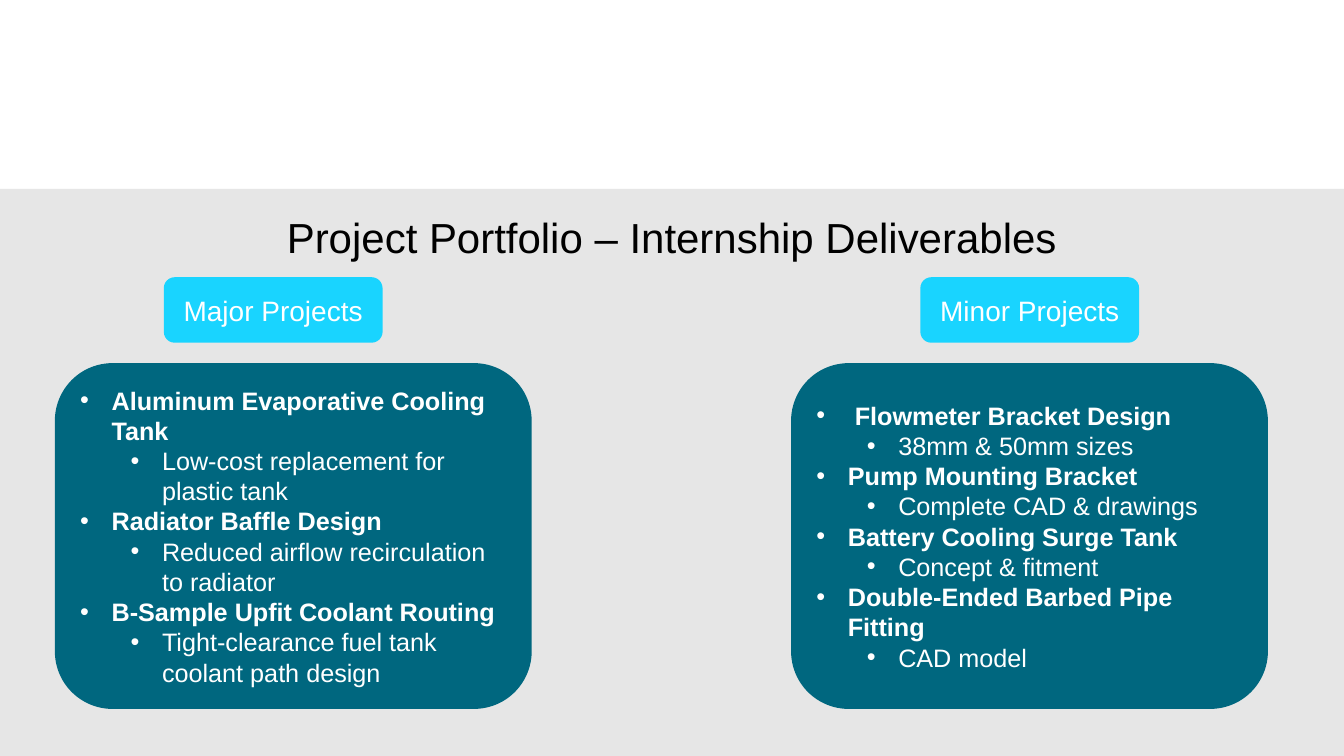
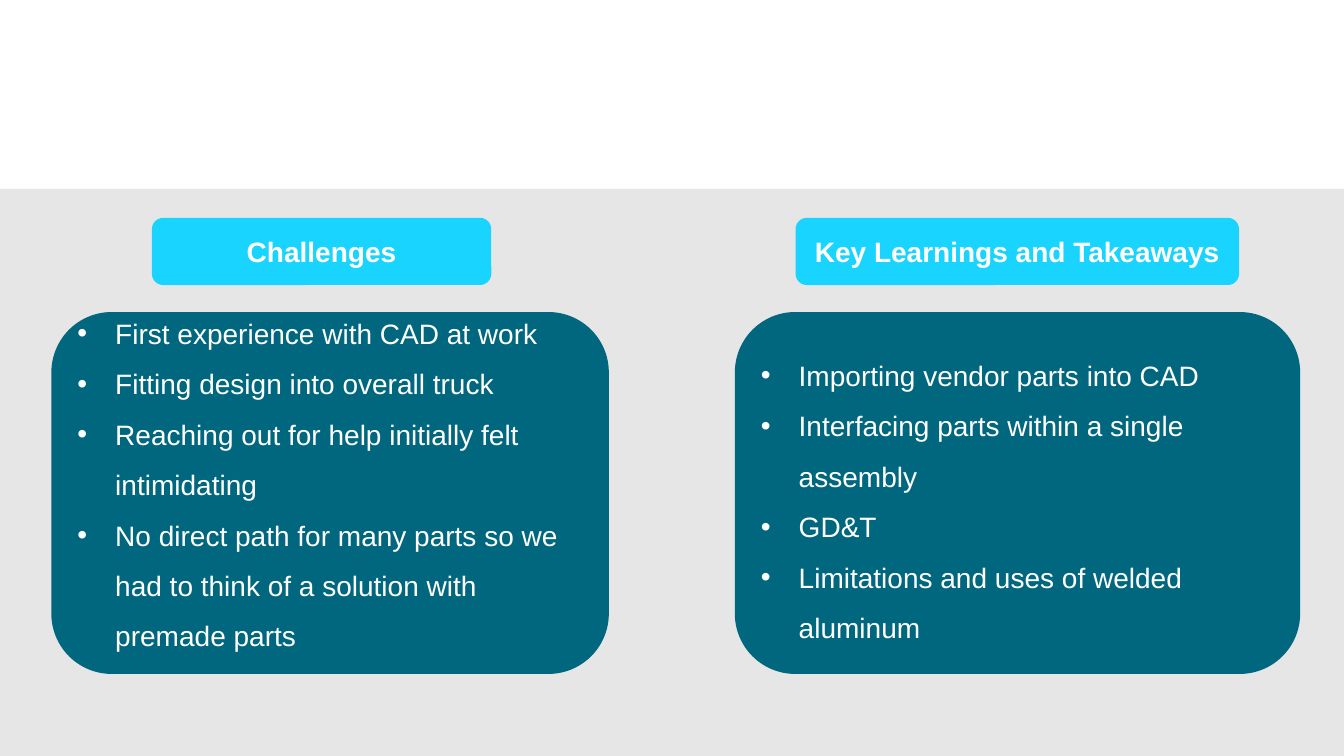
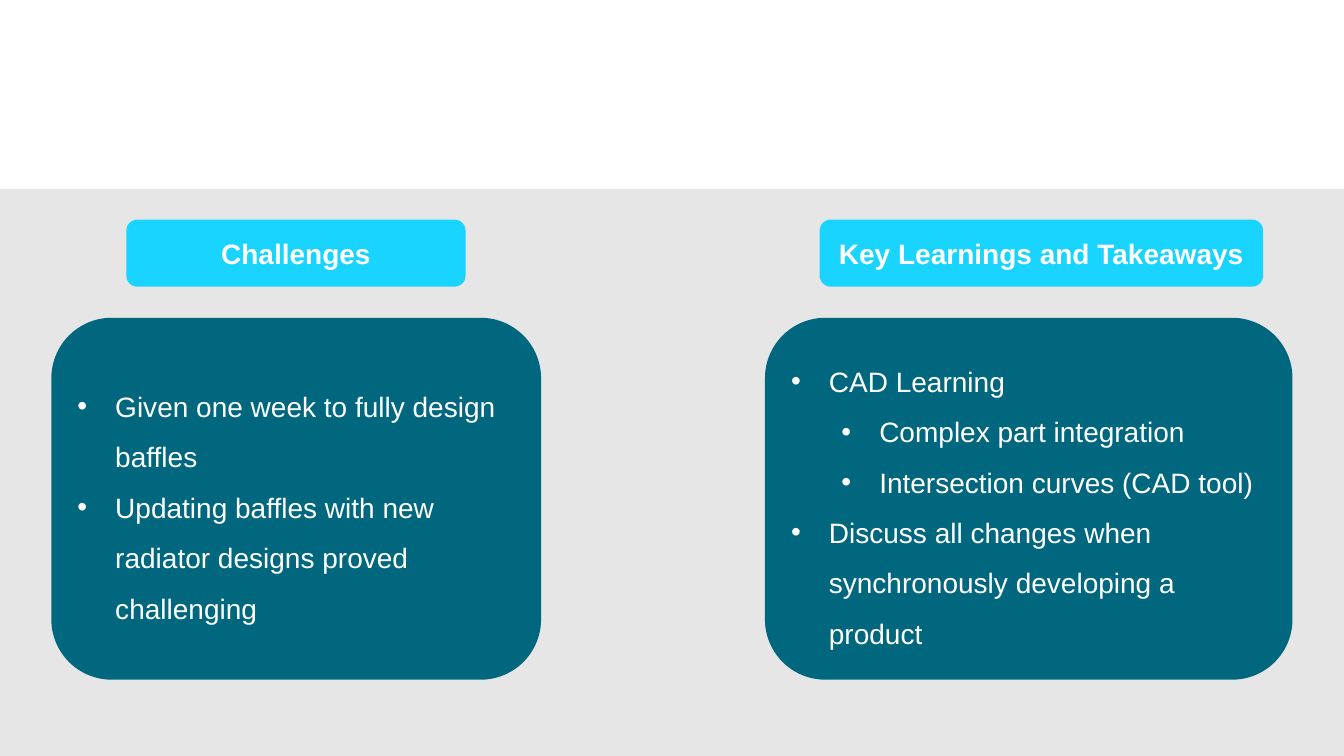
"""Build three internship slides: project portfolio and two lessons-learned pages."""
from dataclasses import dataclass

from lxml.etree import SubElement
from pptx import Presentation
from pptx.dml.color import RGBColor
from pptx.enum.shapes import MSO_SHAPE
from pptx.enum.text import MSO_ANCHOR, PP_ALIGN
from pptx.oxml.ns import qn
from pptx.util import Pt


@dataclass(frozen=True)
class Theme:
    """Colours, font and type sizes shared by the slides."""
    band: RGBColor = RGBColor(0xE6, 0xE6, 0xE6)
    label: RGBColor = RGBColor(0x19, 0xD4, 0xFF)
    card: RGBColor = RGBColor(0x00, 0x67, 0x7F)
    light: RGBColor = RGBColor(0xFF, 0xFF, 0xFF)
    dark: RGBColor = RGBColor(0x00, 0x00, 0x00)
    font: str = "Arial"
    title_size: int = 30
    text_size: int = 20
    small_size: int = 18
    inset: int = 6
    level_step: int = 36


theme = Theme()


def add_box(page, kind, place, fill):
    """Add a plain filled shape with the shared text frame settings."""
    box = page.shapes.add_shape(kind, *[Pt(length) for length in place])
    box.shadow.inherit = False
    box.fill.solid()
    box.fill.fore_color.rgb = fill
    box.line.fill.background()
    frame = box.text_frame
    frame.word_wrap = True
    frame.vertical_anchor = MSO_ANCHOR.MIDDLE
    frame.margin_left = frame.margin_right = Pt(theme.inset)
    frame.margin_top = frame.margin_bottom = Pt(theme.inset)
    return box


def add_span(para, text, size, color, bold=False):
    """Add one run of text in the shared font."""
    span = para.add_run()
    span.text = text
    span.font.name = theme.font
    span.font.size = Pt(size)
    span.font.bold = bold
    span.font.color.rgb = color


pages = [
    {
        "title": "Project Portfolio – Internship Deliverables",
        "size": theme.small_size, "indent": 22.5, "spacing": 1.0,
        "bold_label": False, "bold_heads": True,
        "label_top": 198, "label_height": 46.8,
        "card_top": 259.4, "card_height": 247,
        "columns": [
            {"label": "Major Projects", "label_at": (117, 156.3), "card_at": (39.2, 340.6),
             "margins": (6, 6),
             "items": [(0, "Aluminum Evaporative Cooling Tank"),
                       (1, "Low-cost replacement for plastic tank"),
                       (0, "Radiator Baffle Design"),
                       (1, "Reduced airflow recirculation to radiator"),
                       (0, "B-Sample Upfit Coolant Routing"),
                       (1, "Tight-clearance fuel tank coolant path design")]},
            {"label": "Minor Projects", "label_at": (657.4, 156.3), "card_at": (565.1, 340.6),
             "margins": (6, 6),
             "items": [(0, " Flowmeter Bracket Design"),
                       (1, "38mm & 50mm sizes"),
                       (0, "Pump Mounting Bracket"),
                       (1, "Complete CAD & drawings"),
                       (0, "Battery Cooling Surge Tank"),
                       (1, "Concept & fitment"),
                       (0, "Double-Ended Barbed Pipe Fitting"),
                       (1, "CAD model")]},
        ],
    },
    {
        "title": None,
        "size": theme.text_size, "indent": 27, "spacing": 1.5,
        "bold_label": True, "bold_heads": False,
        "label_top": 155.6, "label_height": 48,
        "card_top": 222.9, "card_height": 258.5,
        "columns": [
            {"label": "Challenges", "label_at": (108.5, 242.4), "card_at": (36.7, 398.2),
             "margins": (0, 24),
             "items": [(0, "First experience with CAD at work"),
                       (0, "Fitting design into overall truck"),
                       (0, "Reaching out for help initially felt intimidating"),
                       (0, "No direct path for many parts so we had to think of a "
                           "solution with premade parts")]},
            {"label": "Key Learnings and Takeaways", "label_at": (568.3, 316.8),
             "card_at": (524.9, 403.8), "margins": (6, 6),
             "items": [(0, "Importing vendor parts into CAD"),
                       (0, "Interfacing parts within a single assembly"),
                       (0, "GD&T"),
                       (0, "Limitations and uses of welded aluminum")]},
        ],
    },
    {
        "title": None,
        "size": theme.text_size, "indent": 27, "spacing": 1.5,
        "bold_label": True, "bold_heads": False,
        "label_top": 156.8, "label_height": 48,
        "card_top": 227, "card_height": 258.5,
        "columns": [
            {"label": "Challenges", "label_at": (90.2, 242.4), "card_at": (36.7, 349.8),
             "margins": (6, 6),
             "items": [(0, "Given one week to fully design baffles"),
                       (0, "Updating baffles with new radiator designs proved "
                           "challenging")]},
            {"label": "Key Learnings and Takeaways", "label_at": (585.5, 316.8),
             "card_at": (546.4, 376.8), "margins": (6, 6),
             "items": [(0, "CAD Learning"),
                       (1, "Complex part integration"),
                       (1, "Intersection curves (CAD tool)"),
                       (0, "Discuss all changes when synchronously developing a "
                           "product")]},
        ],
    },
]

deck = Presentation()
deck.slide_width, deck.slide_height = Pt(960), Pt(540)
title_layout, blank_layout = deck.slide_layouts[5], deck.slide_layouts[6]

for content in pages:
    page = deck.slides.add_slide(title_layout if content["title"] else blank_layout)
    band = add_box(page, MSO_SHAPE.RECTANGLE, (0, 135, 960, 405), theme.band)
    page.shapes.element.insert(2, band.element)

    if content["title"]:
        title = page.shapes.title
        title.left, title.top, title.width, title.height = Pt(39.2), Pt(151.2), Pt(881.6), Pt(46.8)
        frame = title.text_frame
        frame.margin_left = frame.margin_right = frame.margin_top = frame.margin_bottom = 0
        frame.vertical_anchor = MSO_ANCHOR.TOP
        para = frame.paragraphs[0]
        para.alignment = PP_ALIGN.CENTER
        add_span(para, content["title"], theme.title_size, theme.dark)

    for column in content["columns"]:
        left, width = column["label_at"]
        place = (left, content["label_top"], width, content["label_height"])
        label = add_box(page, MSO_SHAPE.ROUNDED_RECTANGLE, place, theme.label)
        para = label.text_frame.paragraphs[0]
        para.alignment = PP_ALIGN.CENTER
        add_span(para, column["label"], theme.text_size, theme.light, content["bold_label"])

        left, width = column["card_at"]
        place = (left, content["card_top"], width, content["card_height"])
        card = add_box(page, MSO_SHAPE.ROUNDED_RECTANGLE, place, theme.card)
        frame = card.text_frame
        frame.margin_top, frame.margin_bottom = [Pt(margin) for margin in column["margins"]]
        for index, (level, text) in enumerate(column["items"]):
            para = frame.add_paragraph() if index else frame.paragraphs[0]
            para.level = level
            para.alignment = PP_ALIGN.LEFT
            para.line_spacing = content["spacing"]
            settings = para._p.get_or_add_pPr()
            settings.set("marL", str(Pt(content["indent"] + level * theme.level_step)))
            settings.set("indent", str(-Pt(content["indent"])))
            SubElement(settings, qn("a:buFont")).set("typeface", theme.font)
            SubElement(settings, qn("a:buChar")).set("char", "•")
            bold = content["bold_heads"] and level == 0
            add_span(para, text, content["size"], theme.light, bold)

deck.save("out.pptx")
